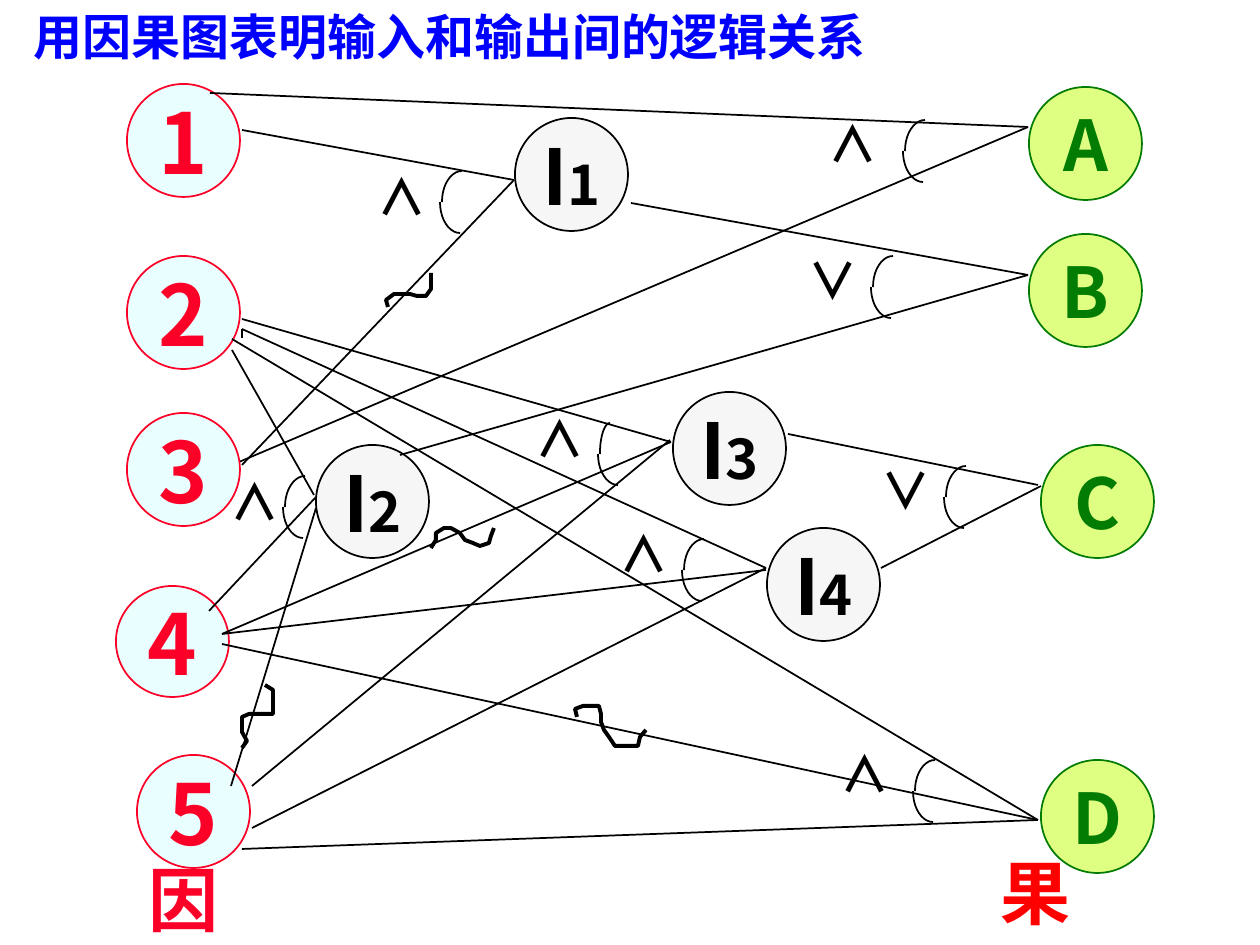
from math import cos, pi, sin

from lxml import etree
from pptx import Presentation
from pptx.dml.color import RGBColor
from pptx.enum.shapes import MSO_CONNECTOR, MSO_SHAPE
from pptx.enum.text import MSO_ANCHOR, MSO_AUTO_SIZE, PP_ALIGN
from pptx.oxml.ns import qn
from pptx.util import Emu, Pt

FONT = "Noto Sans CJK SC"
COLORS = {
    "black": "000000", "blue": "0000FF", "red": "FF0000",
    "crimson": "FC0128", "ice": "E9FFFF", "grey": "F6F6F6",
    "lime": "DFFF83", "green": "037C03",
}
EMU_PER_PX = 914400 / 126
CIRCLE = 113
OPERATOR = 88
ARC_WIDTH, ARC_HEIGHT = 20, 31

# fill, line and text colour, then the sizes of the letter and its index
STYLES = {
    "cause": ("ice", "crimson", (48,)),
    "middle": ("grey", "black", (44, 32)),
    "effect": ("lime", "green", (40,)),
}
# style, text runs, left, top, height
NODES = [
    ("cause", "1", 127, 84, CIRCLE),
    ("cause", "2", 127, 256, CIRCLE),
    ("cause", "3", 127, 413, CIRCLE),
    ("cause", "4", 116, 586, 111),
    ("cause", "5", 137, 755, CIRCLE),
    ("middle", "I1", 515, 118, CIRCLE),
    ("middle", "I2", 316, 445, CIRCLE),
    ("middle", "I3", 673, 392, CIRCLE),
    ("middle", "I4", 767, 528, CIRCLE),
    ("effect", "A", 1029, 87, CIRCLE),
    ("effect", "B", 1029, 234, CIRCLE),
    ("effect", "C", 1041, 445, CIRCLE),
    ("effect", "D", 1041, 760, CIRCLE),
]
LINE_BEHIND_NODES = (232, 465, 1028, 127)  # 3 to A
LINES = [
    (242, 130, 514, 180),   # 1 to I1
    (242, 465, 514, 180),   # 3 to I1
    (631, 203, 1028, 275),  # I1 to B
    (210, 93, 1028, 127),   # 1 to A
    (242, 329, 242, 338),   # tick beside 2
    (232, 339, 1038, 820),  # 2 to D
    (222, 644, 1038, 820),  # 4 to D
    (242, 849, 1038, 820),  # 5 to D
    (242, 329, 766, 568),   # 2 to I4
    (222, 634, 766, 570),   # 4 to I4
    (252, 828, 766, 568),   # 5 to I4
    (242, 319, 671, 442),   # 2 to I3
    (222, 634, 671, 442),   # 4 to I3
    (252, 786, 670, 440),   # 5 to I3
    (232, 350, 314, 495),   # 2 to I2
    (316, 497, 209, 611),   # I2 to 4
    (316, 508, 231, 786),   # I2 to 5
    (400, 455, 1028, 275),  # I2 to B
    (788, 434, 1038, 485),  # I3 to C
    (1041, 486, 881, 568),  # C to I4
]
# left, top and width of the upper quarter
ARCS = [
    (442, 171, ARC_WIDTH), (873, 256, ARC_WIDTH), (905, 120, ARC_WIDTH),
    (946, 466, ARC_WIDTH), (915, 760, ARC_WIDTH), (600, 423, 10),
    (684, 539, ARC_WIDTH), (285, 476, ARC_WIDTH),
]
OPERATORS = [
    ("∨", 796, 244), ("∧", 365, 160), ("∧", 816, 107), ("∨", 869, 454),
    ("∧", 523, 402), ("∧", 607, 517), ("∧", 828, 737), ("∧", 218, 465),
]
NEGATIONS = [
    [(388, 307), (386, 300), (394, 294), (402, 294), (410, 294), (417, 296),
     (426, 296), (431, 289), (431, 281), (431, 273)],
    [(242, 748), (247, 741), (242, 732), (242, 725), (242, 717), (249, 714),
     (257, 714), (265, 714), (273, 714), (273, 706), (273, 698), (273, 690),
     (265, 685)],
    [(431, 548), (436, 540), (436, 533), (444, 528), (451, 528), (460, 533),
     (465, 540), (473, 543), (480, 546), (489, 543), (491, 536), (494, 528)],
    [(577, 717), (575, 709), (583, 706), (591, 706), (599, 706), (601, 714),
     (601, 722), (604, 730), (609, 737), (615, 746), (622, 746), (630, 746),
     (638, 746), (640, 737), (646, 730)],
]
TITLE = "用因果图表明输入和输出间的逻辑关系"


def px(length):
    return Emu(round(length * EMU_PER_PX))


def rgb(name):
    return RGBColor.from_string(COLORS[name])


def format_run(run, size, color):
    run.font.name = FONT
    run.font.size = Pt(size)
    run.font.bold = True
    run.font.color.rgb = rgb(color)
    properties = run._r.get_or_add_rPr()
    etree.SubElement(properties, qn("a:ea")).set("typeface", FONT)


def add_label(shapes, text, box, size, color, wrap=False):
    label = shapes.add_textbox(*map(px, box))
    frame = label.text_frame
    frame.text = text
    frame.word_wrap = wrap
    frame.auto_size = MSO_AUTO_SIZE.SHAPE_TO_FIT_TEXT
    format_run(frame.paragraphs[0].runs[0], size, color)
    return label


def add_node(shapes, style, text, left, top, height):
    fill, ink, sizes = STYLES[style]
    node = shapes.add_shape(MSO_SHAPE.OVAL, *map(px, (left, top, CIRCLE, height)))
    node.shadow.inherit = False
    node.fill.solid()
    node.fill.fore_color.rgb = rgb(fill)
    node.line.color.rgb = rgb(ink)
    node.line.width = Pt(1)
    frame = node.text_frame
    frame.word_wrap = False
    frame.vertical_anchor = MSO_ANCHOR.MIDDLE
    paragraph = frame.paragraphs[0]
    paragraph.alignment = PP_ALIGN.CENTER
    for character, size in zip(text, sizes):
        run = paragraph.add_run()
        run.text = character
        format_run(run, size, ink)


def add_line(shapes, ends):
    line = shapes.add_connector(MSO_CONNECTOR.STRAIGHT, *map(px, ends))
    line.line.color.rgb = rgb("black")
    line.line.width = Pt(1)
    etree.SubElement(line._element.spPr, qn("a:effectLst"))


def add_curve(shapes, points, width):
    start, *rest = [(px(x), px(y)) for x, y in points]
    builder = shapes.build_freeform(*start)
    builder.add_line_segments(rest, close=False)
    curve = builder.convert_to_shape()
    curve.shadow.inherit = False
    curve.fill.background()
    curve.line.color.rgb = rgb("black")
    curve.line.width = Pt(width)


def quarter_arc(left, middle, width, height, steps=10):
    """Points from the leftmost point of an ellipse to its top, or to its bottom if height < 0."""
    angles = [pi / 2 * step / steps for step in range(steps + 1)]
    return [(left + width * (1 - cos(a)), middle - height * sin(a)) for a in angles]


def main():
    presentation = Presentation()
    presentation.slide_width, presentation.slide_height = px(1260), px(945)
    shapes = presentation.slides.add_slide(presentation.slide_layouts[6]).shapes

    title = add_label(shapes, TITLE, (0, 0, 1249, 72), 28, "blue", wrap=True)
    title.text_frame.margin_left = px(34)
    add_line(shapes, LINE_BEHIND_NODES)
    for node in NODES:
        add_node(shapes, *node)
    for ends in LINES:
        add_line(shapes, ends)
    for left, top, width in ARCS:
        middle = top + ARC_HEIGHT
        add_curve(shapes, quarter_arc(left, middle, width, ARC_HEIGHT), 1)
        add_curve(shapes, quarter_arc(left - 2, middle, ARC_WIDTH, -ARC_HEIGHT), 1)
    for symbol, left, top in OPERATORS:
        add_label(shapes, symbol, (left, top, OPERATOR, OPERATOR), 28, "black")
    for points in NEGATIONS:
        add_curve(shapes, points, 2.25)
    add_label(shapes, "因", (136, 850, 105, 97), 40, "crimson", wrap=True)
    add_label(shapes, "果", (988, 843, 96, 97), 40, "red")

    presentation.save("out.pptx")


if __name__ == "__main__":
    main()
